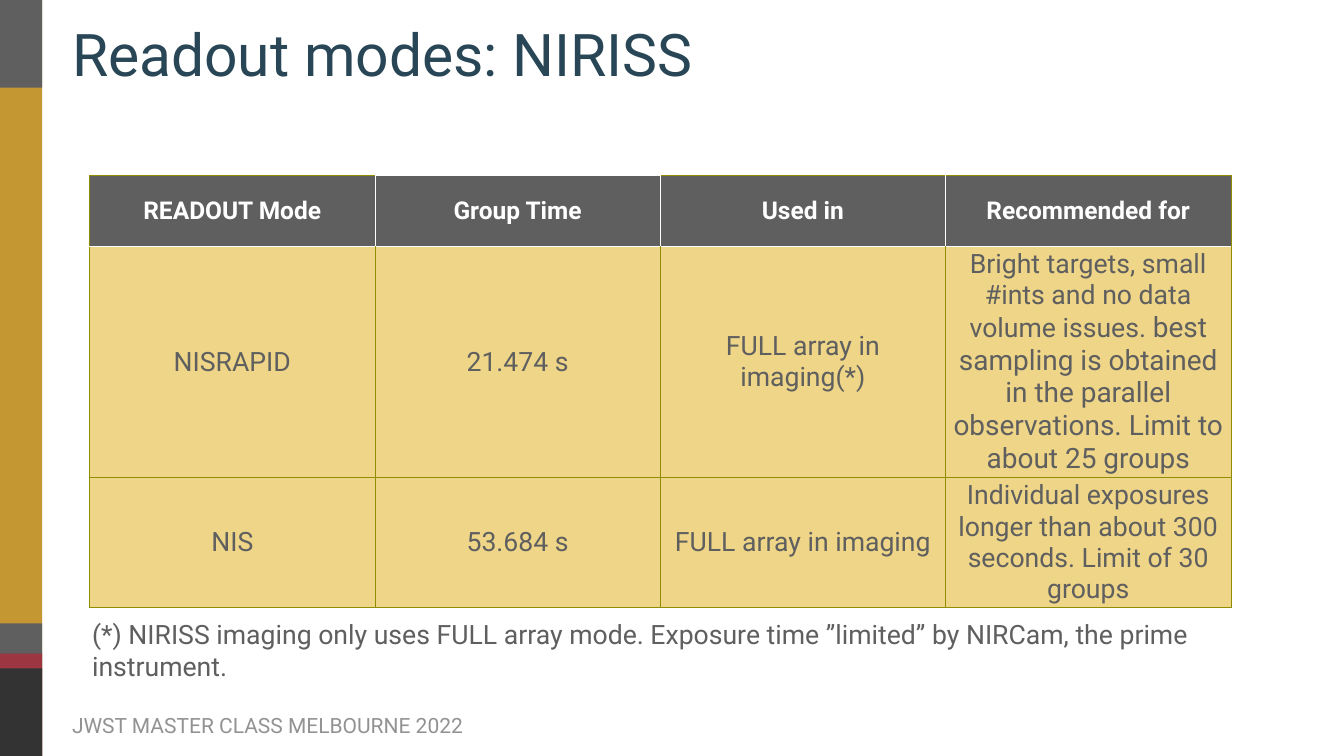
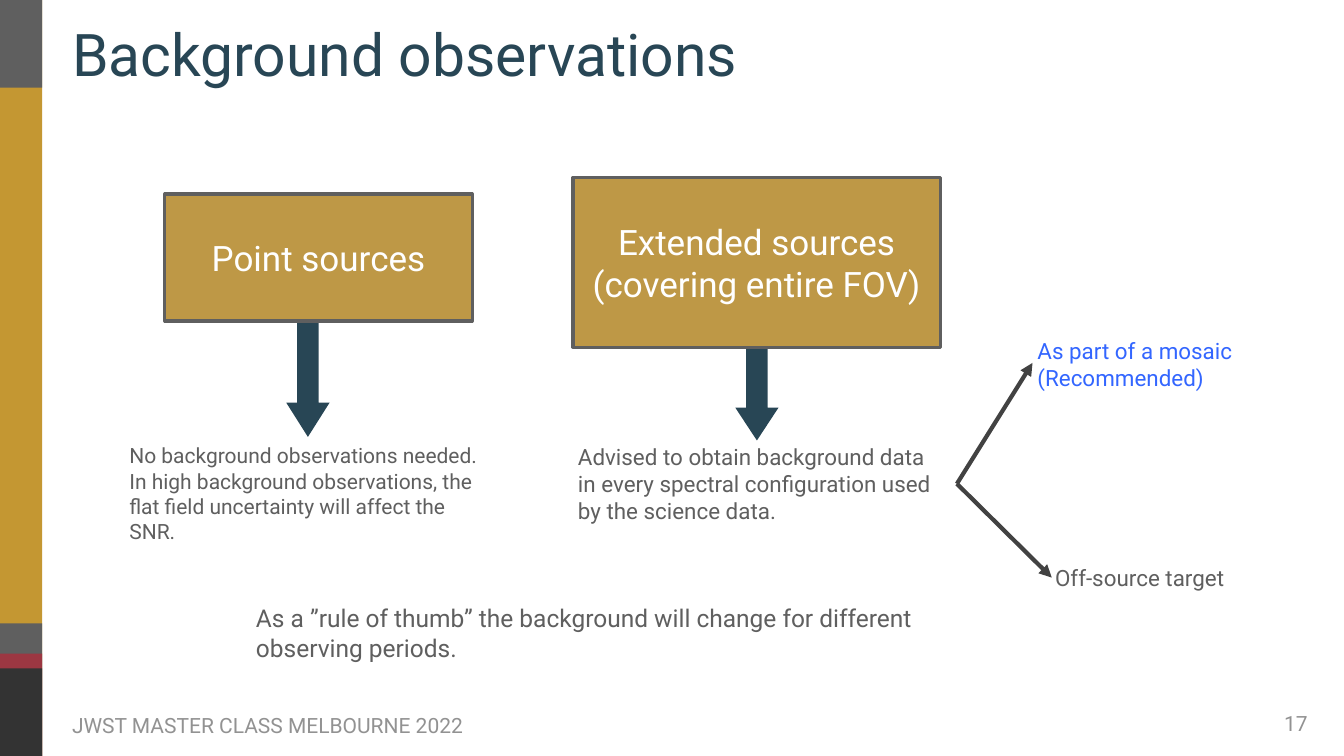
from dataclasses import dataclass

from lxml import etree
from pptx import Presentation
from pptx import util as u
from pptx.dml.color import RGBColor
from pptx.enum import shapes, text
from pptx.oxml import ns


@dataclass(frozen=True)
class Theme:
    font: str = "Roboto"
    navy: str = "284655"
    gold: str = "C49732"
    box_gold: str = "BE9846"
    cell_gold: str = "EED587"
    olive: str = "8F8D00"
    gray: str = "5F5F5F"
    red: str = "9C3742"
    charcoal: str = "333333"
    arrow: str = "424242"
    muted: str = "929292"
    blue: str = "3366FF"
    white: str = "FFFFFF"
    title_size: int = 84
    box_size: int = 50
    large_size: int = 40
    body_size: int = 38
    medium_size: int = 35
    label_size: int = 32
    small_size: int = 30


THEME = Theme()
INSET = 0.15
LEFT, CENTER = text.PP_ALIGN.LEFT, text.PP_ALIGN.CENTER
MIDDLE, TOP = text.MSO_ANCHOR.MIDDLE, text.MSO_ANCHOR.TOP

BAND_BOUNDS = [
    (0, 38.1, THEME.gold),
    (31.42, 38.1, THEME.gray),
    (32.94, 38.1, THEME.red),
    (33.68, 38.1, THEME.charcoal),
    (0, 4.42, THEME.gray),
]

READOUT_ROWS = [
    ["READOUT Mode", "Group Time", "Used in", "Recommended for"],
    ["NISRAPID", "21.474 s", "FULL array in imaging(*)",
     "Bright targets, small #ints and no data volume issues. "],
    ["NIS", "53.684 s", "FULL array in imaging",
     "Individual exposures longer than about 300 seconds. Limit of 30 groups"],
]
SAMPLING_ADVICE = ("best sampling is obtained in the parallel observations. "
                   "Limit to about 25 groups")
ROW_HEIGHTS = [3.58, 11.63, 6.55]
COLUMN_WIDTH = 14.38


def rgb(color):
    return RGBColor.from_string(color)


def lengths(*values):
    return [u.Cm(value) for value in values]


def style_font(font, size, color, bold=False):
    font.name = THEME.font
    font.size = u.Pt(size)
    font.bold = bold
    font.color.rgb = rgb(color)


def write(frame, content, size, color, align=LEFT, bold=False):
    frame.text = content
    for paragraph in frame.paragraphs:
        paragraph.alignment = align
        for run in paragraph.runs:
            style_font(run.font, size, color, bold)


def set_insets(frame, inset):
    frame.margin_left = frame.margin_right = u.Cm(inset)
    frame.margin_top = frame.margin_bottom = u.Cm(inset)


def add_text(slide, place, content, size, color=THEME.gray, align=LEFT,
             anchor=TOP, wrap=True, inset=None):
    frame = slide.shapes.add_textbox(*lengths(*place)).text_frame
    frame.word_wrap = wrap
    frame.vertical_anchor = anchor
    if inset is not None:
        set_insets(frame, inset)
    write(frame, content, size, color, align)


def add_filled_shape(parent, kind, place, fill):
    shape = parent.shapes.add_shape(kind, *lengths(*place))
    shape.shadow.inherit = False
    shape.fill.solid()
    shape.fill.fore_color.rgb = rgb(fill)
    shape.line.fill.background()
    return shape


def add_source_box(slide, place, content):
    box = add_filled_shape(slide, shapes.MSO_SHAPE.RECTANGLE, place, THEME.box_gold)
    box.line.color.rgb = rgb(THEME.gray)
    box.line.width = u.Pt(4.5)
    frame = box.text_frame
    frame.word_wrap = True
    frame.vertical_anchor = MIDDLE
    set_insets(frame, 0)
    write(frame, content, THEME.box_size, THEME.white, CENTER)


def add_down_arrow(slide, left, top, head):
    arrow = add_filled_shape(slide, shapes.MSO_SHAPE.DOWN_ARROW,
                             (left, top, 2.18, 6.4), THEME.navy)
    arrow.adjustments[0] = 0.5
    arrow.adjustments[1] = head


def add_arrow(slide, start, end):
    connector = slide.shapes.add_connector(
        shapes.MSO_CONNECTOR.STRAIGHT, *lengths(*start, *end))
    connector.line.color.rgb = rgb(THEME.arrow)
    connector.line.width = u.Pt(6)
    properties = connector.element.spPr
    etree.SubElement(properties.find(ns.qn("a:ln")), ns.qn("a:tailEnd"), type="triangle")
    etree.SubElement(properties, ns.qn("a:effectLst"))


def add_furniture(slide, layout):
    """Build the side bands and footer, then move them into the layout."""
    bands = slide.shapes.add_group_shape()
    for top, bottom, color in BAND_BOUNDS:
        add_filled_shape(bands, shapes.MSO_SHAPE.RECTANGLE,
                         (-0.03, top, 2.16, bottom - top), color)
    add_text(slide, (3.48, 35.74, 21.23, 1.57), "JWST MASTER CLASS MELBOURNE 2022",
             THEME.small_size, THEME.muted, anchor=MIDDLE, wrap=False, inset=INSET)
    footer = slide.shapes[-1]
    for shape in (bands, footer):
        layout.element.cSld.spTree.append(shape.element)


def add_titled_slide(presentation, layout, title_text):
    slide = presentation.slides.add_slide(layout)
    title = slide.shapes.title
    title.left, title.top, title.width, title.height = lengths(3.48, 0.48, 53.64, 4.42)
    frame = title.text_frame
    frame.auto_size = text.MSO_AUTO_SIZE.NONE
    frame.vertical_anchor = MIDDLE
    set_insets(frame, INSET)
    write(frame, title_text, THEME.title_size, THEME.navy)
    return slide


def border_style(row, column, side):
    """White rules inside and below the header, olive ones elsewhere."""
    if row == 0 and side == "B":
        return THEME.white, 2
    inner = (side == "L" and column > 0) or (side == "R" and column < 3)
    if (row == 0 and (inner or column == 1)) or (row == 1 and side == "T"):
        return THEME.white, 1
    return THEME.olive, 0.75


def set_borders(cell, row, column):
    properties = cell._tc.get_or_add_tcPr()
    for side in "LRTB":
        color, width = border_style(row, column, side)
        line = etree.SubElement(properties, ns.qn(f"a:ln{side}"), w=str(u.Pt(width)))
        fill = etree.SubElement(line, ns.qn("a:solidFill"))
        etree.SubElement(fill, ns.qn("a:srgbClr"), val=color)


def fill_cell(cell, row, column, content):
    header = row == 0
    set_borders(cell, row, column)
    cell.vertical_anchor = MIDDLE
    cell.fill.solid()
    cell.fill.fore_color.rgb = rgb(THEME.gray if header else THEME.cell_gold)
    if header:
        write(cell.text_frame, content, THEME.medium_size, THEME.white, CENTER, True)
    else:
        write(cell.text_frame, content, THEME.body_size, THEME.gray, CENTER)


def add_readout_table(slide):
    columns = len(READOUT_ROWS[0])
    table = slide.shapes.add_table(
        len(READOUT_ROWS), columns,
        *lengths(4.52, 8.84, COLUMN_WIDTH * columns, sum(ROW_HEIGHTS))).table
    table.horz_banding = False
    for column in table.columns:
        column.width = u.Cm(COLUMN_WIDTH)
    for row, contents in enumerate(READOUT_ROWS):
        table.rows[row].height = u.Cm(ROW_HEIGHTS[row])
        for column, content in enumerate(contents):
            fill_cell(table.cell(row, column), row, column, content)
    advice = table.cell(1, 3).text_frame.paragraphs[0].add_run()
    advice.text = SAMPLING_ADVICE
    style_font(advice.font, THEME.large_size, THEME.gray)


def fill_readout_slide(slide):
    add_readout_table(slide)
    add_text(slide, (4.39, 31.04, 57.68, 3.51),
             "(*) NIRISS imaging only uses FULL array mode. Exposure time ”limited” "
             "by NIRCam, the prime instrument.", THEME.body_size)


def fill_background_slide(slide):
    add_down_arrow(slide, 37.06, 15.8, 0.76)
    add_down_arrow(slide, 14.43, 15.62, 0.79)
    add_text(slide, (64.37, 35.66, 1.9, 1.73), "17", THEME.small_size, THEME.muted,
             CENTER, wrap=False, inset=INSET)
    add_source_box(slide, (8.31, 9.78, 15.49, 6.4), "Point sources")
    add_source_box(slide, (28.88, 8.94, 18.52, 8.56),
                   "Extended sources\n(covering entire FOV)")
    add_text(slide, (6.27, 22.2, 18.52, 5.38),
             "No background observations needed. In high background observations, "
             "the flat field uncertainty will affect the SNR.", THEME.small_size)
    add_text(slide, (28.88, 22.2, 18.52, 4.37),
             "Advised to obtain background data in every spectral configuration "
             "used by the science data.", THEME.label_size)
    fork = (48.23, 24.38)
    for tip in ((53.01, 29.11), (52.04, 18.29)):
        add_arrow(slide, fork, tip)
    add_text(slide, (52.04, 16.87, 11.02, 3), "As part of a mosaic (Recommended)",
             THEME.label_size, THEME.blue)
    add_text(slide, (52.93, 28.3, 11.02, 1.63), "Off-source target", THEME.label_size)
    add_text(slide, (12.65, 30.28, 38.23, 3.25),
             "As a ”rule of thumb” the background will change for different "
             "observing periods.", THEME.medium_size)


def main():
    presentation = Presentation()
    presentation.slide_width, presentation.slide_height = lengths(67.74, 38.1)
    layout = presentation.slide_layouts.get_by_name("Title Only")
    readout = add_titled_slide(presentation, layout, "Readout modes: NIRISS")
    add_furniture(readout, layout)
    fill_readout_slide(readout)
    background = add_titled_slide(presentation, layout, "Background observations")
    fill_background_slide(background)
    presentation.save("out.pptx")


if __name__ == "__main__":
    main()
